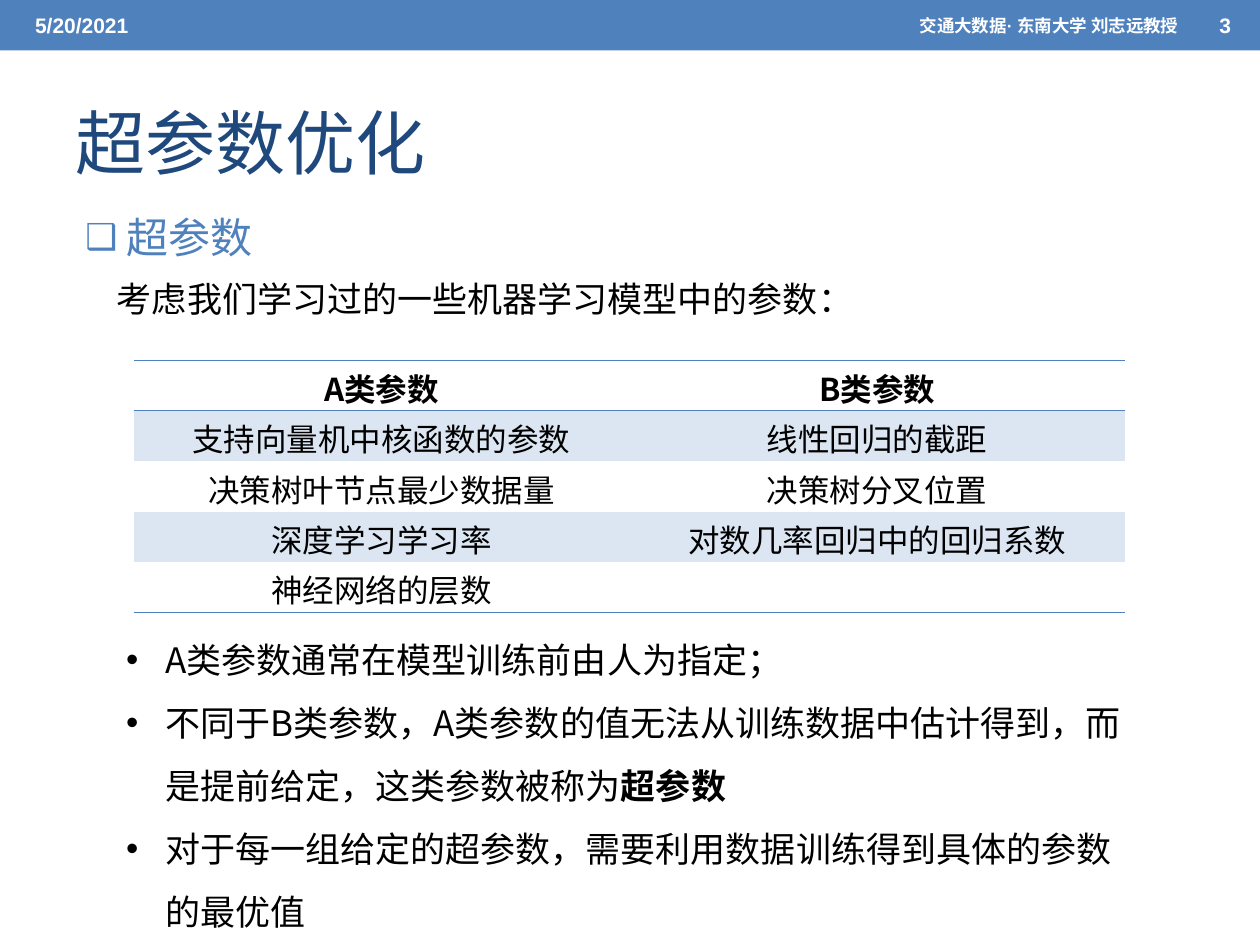
import dataclasses

import pptx
import pptx.dml.color
import pptx.enum.shapes
import pptx.enum.text
import pptx.oxml.ns
import pptx.util
from pptx.util import Inches
from lxml import etree

ALIGN = pptx.enum.text.PP_ALIGN
ANCHOR = pptx.enum.text.MSO_ANCHOR


@dataclasses.dataclass(frozen=True)
class Theme:
    blue: str = "4F81BD"
    navy: str = "1F497D"
    band: str = "DCE6F2"
    white: str = "FFFFFF"
    black: str = "000000"
    header_font: str = "Arial"
    main_font: str = "Noto Sans CJK SC"
    title_size: int = 40
    section_size: int = 24
    body_size: int = 20
    table_size: int = 18
    header_size: int = 12
    course_size: int = 10


theme = Theme()


def add_element(parent, tag, **attributes):
    return etree.SubElement(parent, pptx.oxml.ns.qn(tag), attributes)


def write_text(frame, *paragraphs, size, color=theme.black, font=theme.main_font, bold=False,
               align=ALIGN.LEFT, anchor=ANCHOR.TOP, spacing=1.0, bullet=None, indent=0):
    """Each paragraph is a list of runs; a run starting with ** is bold."""
    frame.word_wrap = True
    frame.auto_size = pptx.enum.text.MSO_AUTO_SIZE.NONE
    frame.vertical_anchor = anchor
    for index, runs in enumerate(paragraphs):
        paragraph = frame.add_paragraph() if index else frame.paragraphs[0]
        properties = paragraph._p.get_or_add_pPr()
        properties.set("marL", str(Inches(indent)))
        properties.set("indent", str(-Inches(indent)))
        if bullet:
            bullet_color = add_element(properties, "a:buClr")
            add_element(bullet_color, "a:srgbClr", val=color)
            add_element(properties, "a:buSzPct", val="85000" if bullet == "❑" else "100000")
            add_element(properties, "a:buFont", typeface=theme.header_font)
            add_element(properties, "a:buChar", char=bullet)
        else:
            add_element(properties, "a:buNone")
        paragraph.alignment = align
        paragraph.line_spacing = spacing
        paragraph.space_before = pptx.util.Pt(0)
        for text in runs:
            run = paragraph.add_run()
            run.text = text.removeprefix("**")
            run.font.size = pptx.util.Pt(size)
            run.font.bold = bold or text.startswith("**")
            run.font.name = font
            run.font.color.rgb = pptx.dml.color.RGBColor.from_string(color)
            add_element(run._r.get_or_add_rPr(), "a:ea", typeface=theme.main_font)


presentation = pptx.Presentation()
presentation.slide_width = Inches(10)
presentation.slide_height = Inches(7.5)
slide = presentation.slides.add_slide(presentation.slide_layouts[1])
shapes = slide.shapes

# Header bar with date, page number and course
bar = shapes.add_shape(pptx.enum.shapes.MSO_SHAPE.RECTANGLE, 0, 0, Inches(10), Inches(0.4))
bar.shadow.inherit = False
bar.fill.solid()
bar.fill.fore_color.rgb = pptx.dml.color.RGBColor.from_string(theme.blue)
bar.line.fill.background()

header_items = [
    ("5/20/2021", 0.18, 3.17, theme.header_size, ALIGN.LEFT),
    ("3", 9.58, 0.42, theme.header_size, ALIGN.LEFT),
    ("交通大数据· 东南大学 刘志远教授", 4.17, 5.28, theme.course_size, ALIGN.RIGHT),
]
for text, left, width, size, align in header_items:
    box = shapes.add_textbox(Inches(left), Inches(0.02), Inches(width), Inches(0.36))
    write_text(box.text_frame, [text], size=size, color=theme.white, font=theme.header_font,
               bold=True, align=align, anchor=ANCHOR.MIDDLE)

# Title
title = shapes.title
title.left, title.top, title.width, title.height = map(Inches, (0.5, 0.58, 9, 1.08))
write_text(title.text_frame, ["超参数优化"], size=theme.title_size, color=theme.navy,
           anchor=ANCHOR.MIDDLE)

# Section heading and lead-in
section = shapes.add_textbox(Inches(0.58), Inches(1.43), Inches(7.97), Inches(0.71))
write_text(section.text_frame, [" 超参数"], size=theme.section_size, color=theme.blue,
           spacing=1.5, bullet="❑", indent=0.2)
lead = shapes.add_textbox(Inches(0.83), Inches(1.99), Inches(9.27), Inches(0.55))
write_text(lead.text_frame, ["考虑我们学习过的一些机器学习模型中的参数："], size=theme.body_size,
           spacing=1.5)

# Parameter table
rows = [
    ("A类参数", "B类参数"),
    ("支持向量机中核函数的参数", "线性回归的截距"),
    ("决策树叶节点最少数据量", "决策树分叉位置"),
    ("深度学习学习率", "对数几率回归中的回归系数"),
    ("神经网络的层数", ""),
]
table_frame = shapes.add_table(len(rows), 2, Inches(1.06), Inches(2.86), Inches(7.87), Inches(2))
table = table_frame.table
table.first_row = table.horz_banding = False
# Built-in style without fills or grid
style = table._tbl.tblPr.find(pptx.oxml.ns.qn("a:tableStyleId"))
style.text = "{2D5ABB26-0587-4C30-8999-92F81FD0307C}"
for row_index, row in enumerate(rows):
    is_header = row_index == 0
    for column_index, text in enumerate(row):
        cell = table.cell(row_index, column_index)
        cell.margin_top, cell.margin_bottom = Inches(0.03), 0
        cell.vertical_anchor = ANCHOR.MIDDLE
        write_text(cell.text_frame, [text] if text else [], size=theme.table_size,
                   bold=is_header, align=ALIGN.CENTER)
        if not text:
            cell.text_frame.paragraphs[0].font.size = pptx.util.Pt(theme.table_size)
        edges = {0: ["a:lnT", "a:lnB"], len(rows) - 1: ["a:lnB"]}.get(row_index, [])
        for edge in edges:
            line = add_element(cell._tc.get_or_add_tcPr(), edge, w=str(pptx.util.Pt(1)))
            line_fill = add_element(line, "a:solidFill")
            add_element(line_fill, "a:srgbClr", val=theme.blue)
        if row_index % 2:
            cell.fill.solid()
            cell.fill.fore_color.rgb = pptx.dml.color.RGBColor.from_string(theme.band)
        else:
            cell.fill.background()

# Conclusions
body = slide.placeholders[1]
body.left, body.top, body.width, body.height = map(Inches, (0.9, 4.85, 8.19, 2.57))
write_text(
    body.text_frame,
    ["A类参数通常在模型训练前由人为指定；"],
    ["不同于B类参数，A类参数的值无法从训练数据中估计得到，而是提前给定，这类参数被称为", "**超参数"],
    ["对于每一组给定的超参数，需要利用数据训练得到具体的参数的最优值"],
    size=theme.body_size, spacing=1.5, bullet="•", indent=0.31)

presentation.save("out.pptx")
